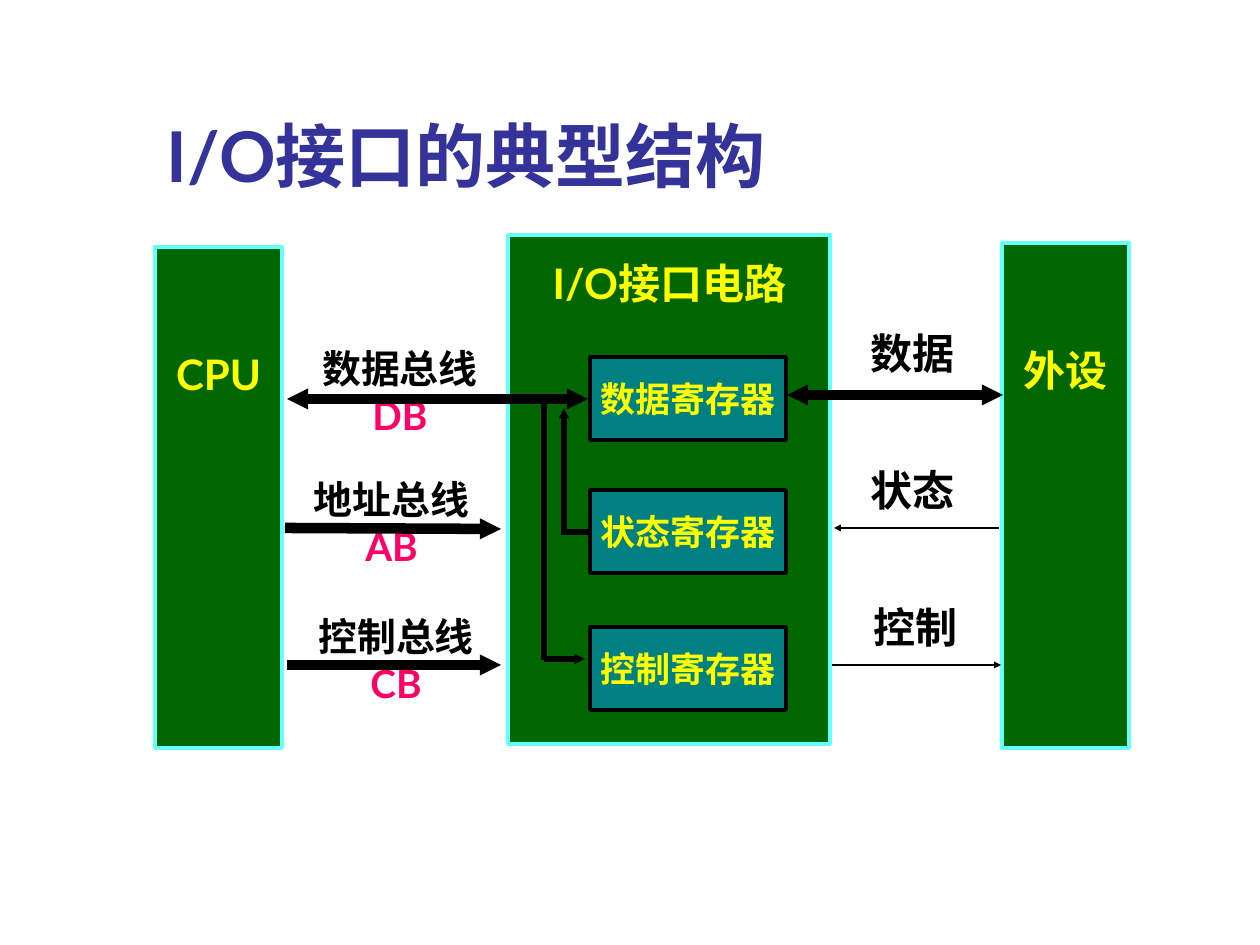
from pptx import Presentation
from pptx.dml.color import RGBColor
from pptx.enum.shapes import MSO_CONNECTOR, MSO_SHAPE
from pptx.enum.text import MSO_ANCHOR, MSO_AUTO_SIZE, PP_ALIGN
from pptx.oxml.ns import qn
from pptx.util import Pt
from lxml import etree

RECT = MSO_SHAPE.RECTANGLE
LINE = MSO_CONNECTOR.STRAIGHT
TOP, MID, LOW = MSO_ANCHOR.TOP, MSO_ANCHOR.MIDDLE, MSO_ANCHOR.BOTTOM
LEFT, CENTER = PP_ALIGN.LEFT, PP_ALIGN.CENTER
NOFIT = MSO_AUTO_SIZE.NONE
SCALE = 914400 / 126
GREEN, TEAL, CYAN = "006600", "008080", "66FFFF"
YELLOW, BLACK, PINK, BLUE = "FFFF00", "000000", "FF0066", "333399"


def px(*nums):
    return [round(n * SCALE) for n in nums]


def write(shape, text, size, color, anchor=TOP, inset=1, code=""):
    frame = shape.text_frame
    frame.word_wrap = True
    frame.vertical_anchor = anchor
    frame.margin_left, frame.margin_top, frame.margin_right, frame.margin_bottom = px(1, inset, 1, 1)
    para = frame.paragraphs[0]
    para.alignment = CENTER
    font = para.font
    font.name, font.size, font.bold = "Lato", Pt(size), True
    runs = [(text, color)]
    if code:
        runs.append((code, PINK))
    for i, (word, tint) in enumerate(runs):
        if i:
            para.add_line_break()
        run = para.add_run()
        run.text = word
        run.font.color.rgb = RGBColor.from_string(tint)


deck = Presentation()
deck.slide_width, deck.slide_height = px(1260, 945)
slide = deck.slides.add_slide(deck.slide_layouts[5])
shapes = slide.shapes

title = shapes.title
title.left, title.top, title.width, title.height = px(154, 45, 1071, 158)
frame = title.text_frame
frame.text = "I/O接口的典型结构"
frame.auto_size = NOFIT
frame.vertical_anchor = LOW
para = frame.paragraphs[0]
para.alignment = LEFT
font = para.font
font.name, font.size, font.bold = "Lato", Pt(40), True
font.color.rgb = RGBColor.from_string(BLUE)

blocks = [
    (508, 235, 322, 509, GREEN, CYAN, "", 24, TOP, 1),
    (155, 247, 127, 501, GREEN, CYAN, "CPU", 24, TOP, 102),
    (1002, 243, 127, 505, GREEN, CYAN, "外设", 24, TOP, 102),
    (590, 357, 196, 83, TEAL, BLACK, "数据寄存器", 20, MID, 1),
    (590, 490, 196, 83, TEAL, BLACK, "状态寄存器", 20, MID, 1),
    (590, 627, 196, 83, TEAL, BLACK, "控制寄存器", 20, MID, 1),
]
for x, y, w, h, fill, edge, text, size, anchor, inset in blocks:
    box = shapes.add_shape(RECT, *px(x, y, w, h))
    box.shadow.inherit = False
    box.fill.solid()
    box.fill.fore_color.rgb = RGBColor.from_string(fill)
    box.line.color.rgb = RGBColor.from_string(edge)
    box.line.width = Pt(2.25)
    if text:
        write(box, text, size, YELLOW, anchor, inset)

labels = [
    (532, 257, 275, 86, "I/O接口电路", "", 24, YELLOW),
    (291, 344, 218, 97, "数据总线", "DB", 22.2, BLACK),
    (288, 475, 207, 97, "地址总线", "AB", 22.2, BLACK),
    (287, 612, 218, 97, "控制总线", "CB", 22.2, BLACK),
    (859, 327, 107, 64, "数据", "", 24, BLACK),
    (859, 464, 107, 64, "状态", "", 24, BLACK),
    (862, 601, 107, 64, "控制", "", 24, BLACK),
]
for x, y, w, h, text, code, size, color in labels:
    write(shapes.add_textbox(*px(x, y, w, h)), text, size, color, code=code)

wires = [
    (999, 528, 834, 528, 1.5, ["tailEnd"]),
    (564, 531, 564, 408, 3, ["tailEnd"]),
    (561, 532, 590, 532, 3, []),
    (544, 659, 585, 659, 3, ["tailEnd"]),
    (544, 660, 544, 403, 3, []),
    (832, 665, 1001, 665, 1.5, ["tailEnd"]),
    (285, 528, 501, 529, 6, ["tailEnd"]),
    (287, 665, 501, 665, 6, ["tailEnd"]),
    (287, 399, 588, 399, 6, ["headEnd", "tailEnd"]),
    (787, 395, 1003, 395, 6, ["headEnd", "tailEnd"]),
]
for x1, y1, x2, y2, width, ends in wires:
    wire = shapes.add_connector(LINE, *px(x1, y1, x2, y2))
    wire.line.color.rgb = RGBColor.from_string(BLACK)
    wire.line.width = Pt(width)
    props = wire._element.spPr
    stroke = props.find(qn("a:ln"))
    for end in ends:
        etree.SubElement(stroke, qn("a:" + end), type="triangle", w="sm", len="sm")
    etree.SubElement(props, qn("a:effectLst"))

deck.save("out.pptx")
